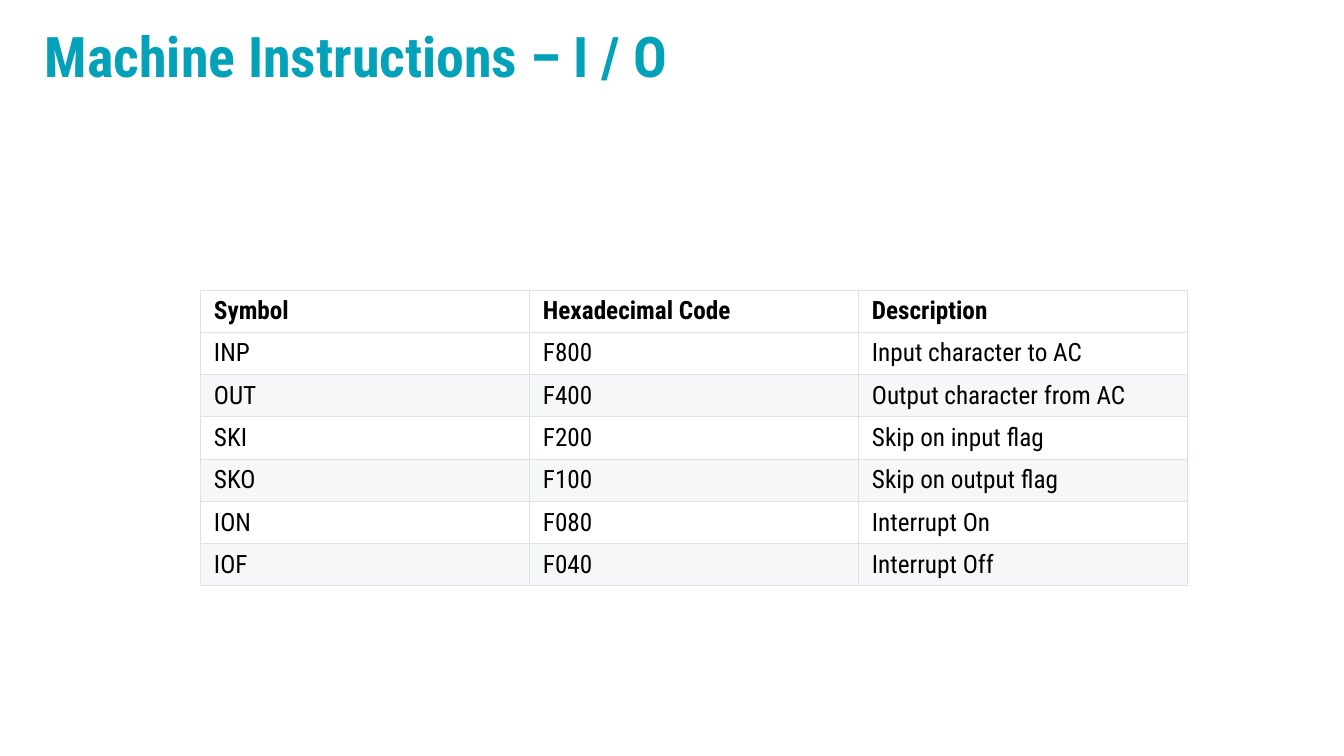
import pptx
import pptx.dml.color
import pptx.enum.text
import pptx.util
from lxml import etree

TITLE = "Machine Instructions – I / O"
ROWS = [
    ("Symbol", "Hexadecimal Code", "Description"),
    ("INP", "F800", "Input character to AC"),
    ("OUT", "F400", "Output character from AC"),
    ("SKI", "F200", "Skip on input flag"),
    ("SKO", "F100", "Skip on output flag"),
    ("ION", "F080", "Interrupt On"),
    ("IOF", "F040", "Interrupt Off"),
]
FONT = "Roboto Condensed"
TEAL, BLACK, WHITE, BAND, RULE = "04A2B9", "000000", "FFFFFF", "F5F7F9", "DFE2E5"
LEFT, TOP, COL, ROW = 200, 290, 329, 42
PAD_X, PAD_Y = 14, 6
MIDDLE = pptx.enum.text.MSO_ANCHOR.MIDDLE


def px(count):
    return pptx.util.Emu(round(count * 914400 / 100.8))


def color(code):
    return pptx.dml.color.RGBColor.from_string(code)


def style(para, size, code, bold):
    for run in para.runs:
        font = run.font
        font.name, font.size, font.bold = FONT, pptx.util.Pt(size), bold
        font.color.rgb = color(code)


def border(cell):
    """Rule all four sides; borders must come before the cell's fill."""
    props = cell._tc.get_or_add_tcPr()
    for spot, side in enumerate(("lnL", "lnR", "lnT", "lnB")):
        line = etree.Element(pptx.oxml.ns.qn("a:" + side), w=str(pptx.util.Pt(0.75)))
        fill = etree.SubElement(line, pptx.oxml.ns.qn("a:solidFill"))
        etree.SubElement(fill, pptx.oxml.ns.qn("a:srgbClr"), val=RULE)
        props.insert(spot, line)


def add_title(slide):
    box = slide.shapes.add_textbox(px(35), px(14), px(1018), px(90))
    frame = box.text_frame
    frame.word_wrap = True
    frame.vertical_anchor = MIDDLE
    frame.text = TITLE
    para = frame.paragraphs[0]
    para.line_spacing = 0.9
    style(para, 40, TEAL, True)


def add_codes(slide):
    wide, high = len(ROWS[0]), len(ROWS)
    table = slide.shapes.add_table(
        high, wide, px(LEFT), px(TOP), px(COL * wide), px(ROW * high)
    ).table
    for r, row in enumerate(ROWS):
        table.rows[r].height = px(ROW)
        for c, text in enumerate(row):
            cell = table.cell(r, c)
            cell.margin_left = cell.margin_right = px(PAD_X)
            cell.margin_top = cell.margin_bottom = px(PAD_Y)
            cell.vertical_anchor = MIDDLE
            cell.fill.solid()
            cell.fill.fore_color.rgb = color(BAND if r and r % 2 == 0 else WHITE)
            border(cell)
            cell.text_frame.text = text
            style(cell.text_frame.paragraphs[0], 18, BLACK, r == 0)


def main():
    deck = pptx.Presentation()
    deck.slide_width, deck.slide_height = px(1344), px(756)
    slide = deck.slides.add_slide(deck.slide_layouts[6])
    add_title(slide)
    add_codes(slide)
    deck.save("out.pptx")


if __name__ == "__main__":
    main()
